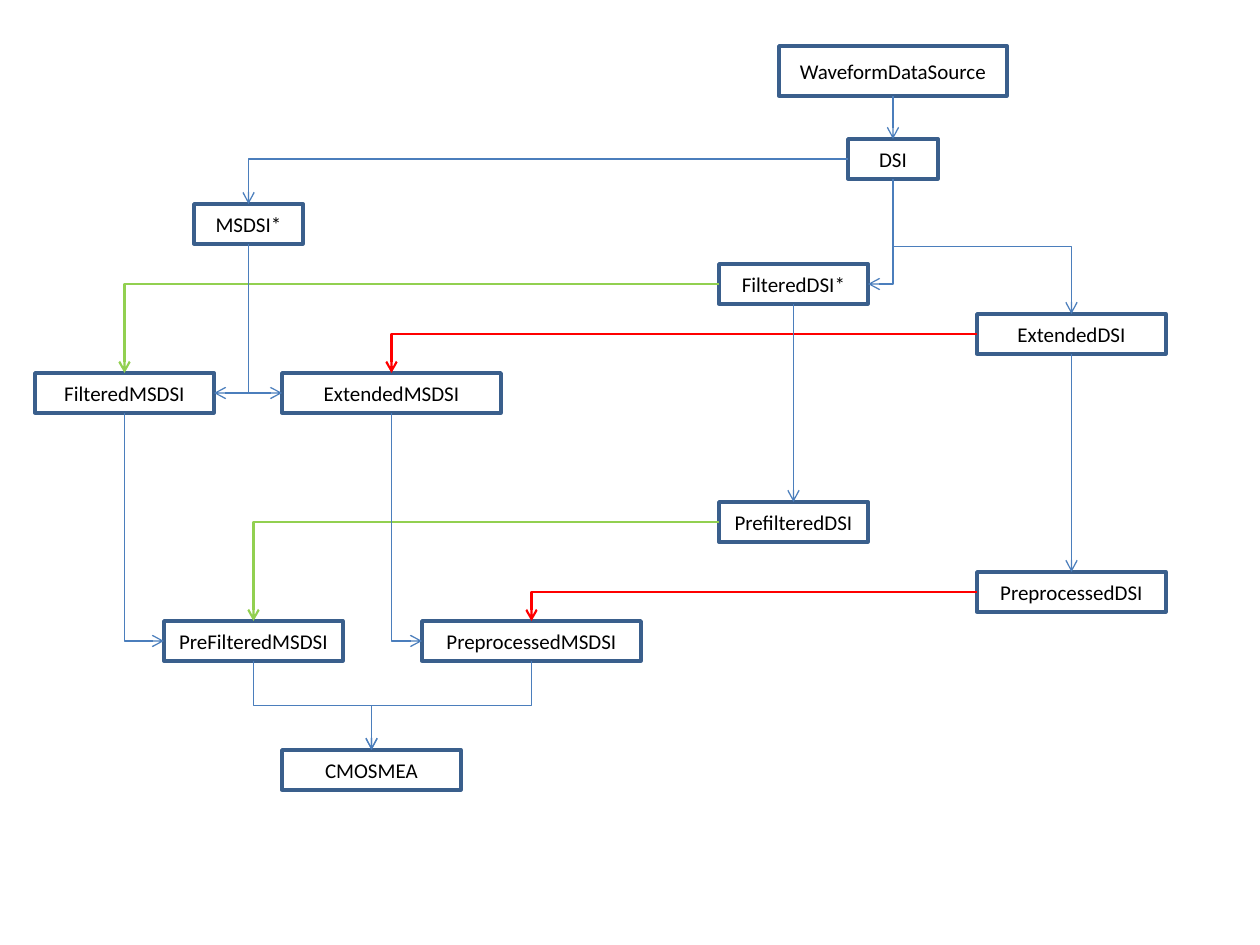
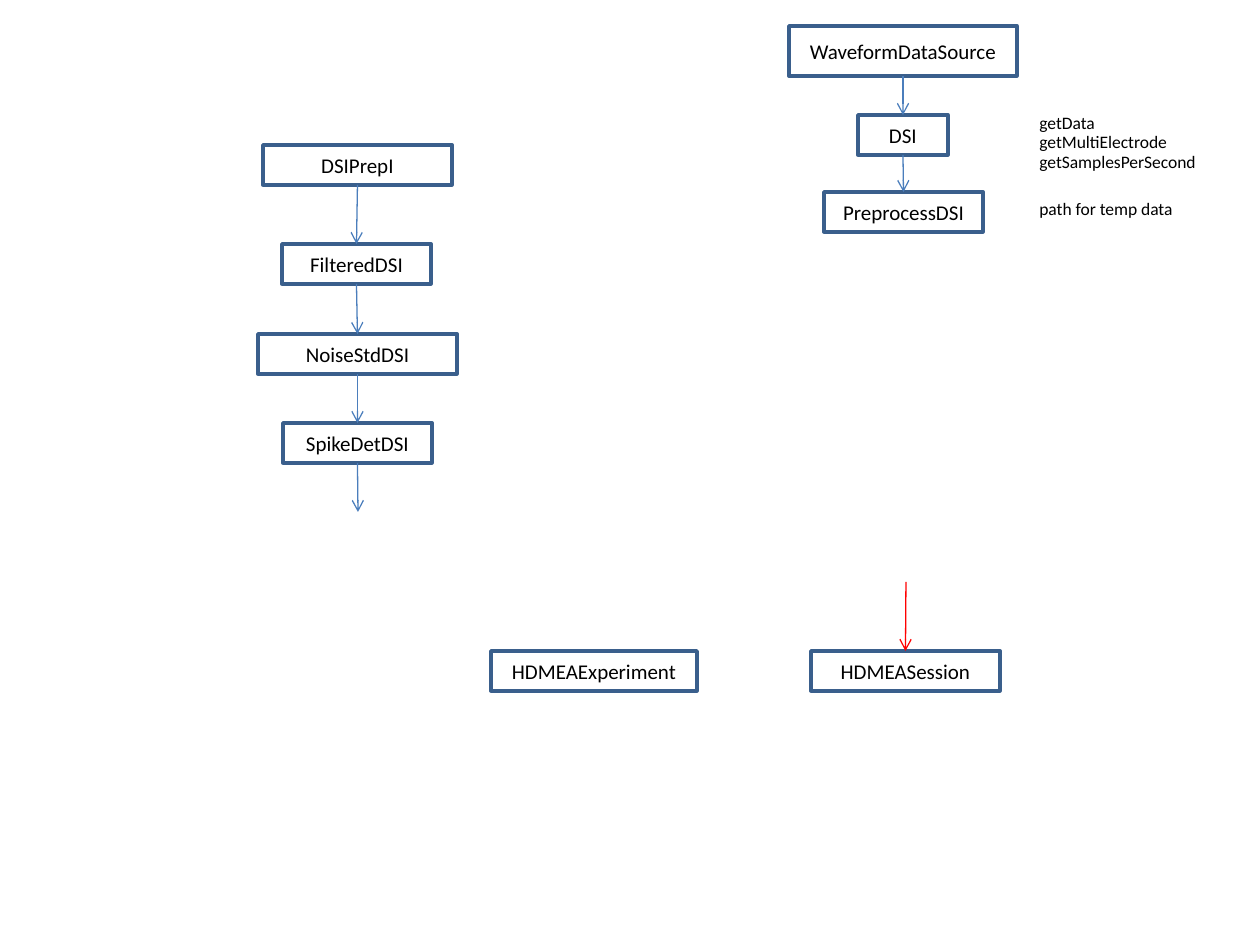
from lxml.etree import SubElement
from pptx import Presentation
from pptx.dml.color import RGBColor
from pptx.enum.shapes import MSO_CONNECTOR, MSO_SHAPE
from pptx.enum.text import MSO_ANCHOR, MSO_AUTO_SIZE, PP_ALIGN
from pptx.oxml.ns import qn
from pptx.util import Emu, Pt

PIXELS_PER_INCH = 126
BOX_HEIGHT = 40
FONT = "Calibri"
COLORS = {
    "outline": "3A5F8C",
    "inherit": "4B7EBC",
    "filter": "92D050",
    "extend": "FF0000",
    "text": "000000",
}
TOP, LEFT, BOTTOM, RIGHT = range(4)  # connection sites of a rectangle

# name: left, top, width[, height]
CLASS_BOXES = {
    "DSI": (848, 139, 90),
    "MSDSI*": (194, 204, 109),
    "FilteredDSI*": (719, 264, 149),
    "ExtendedDSI": (977, 314, 189),
    "PrefilteredDSI": (719, 502, 149),
    "PreprocessedDSI": (977, 572, 189),
    "FilteredMSDSI": (35, 373, 179),
    "ExtendedMSDSI": (282, 373, 219),
    "PreFilteredMSDSI": (164, 621, 179),
    "PreprocessedMSDSI": (422, 621, 219),
    "CMOSMEA": (282, 750, 179),
    "WaveformDataSource": (779, 46, 228, 50),
}
# start, start site, end, end site, colour, points
CLASS_ELBOWS = [
    ("DSI", LEFT, "MSDSI*", TOP, "inherit", 0.75),
    ("FilteredDSI*", LEFT, "FilteredMSDSI", TOP, "filter", 1.25),
    ("MSDSI*", BOTTOM, "FilteredMSDSI", RIGHT, "inherit", 0.75),
    ("MSDSI*", BOTTOM, "ExtendedMSDSI", LEFT, "inherit", 0.75),
    ("ExtendedDSI", LEFT, "ExtendedMSDSI", TOP, "extend", 1.25),
    ("DSI", BOTTOM, "FilteredDSI*", RIGHT, "inherit", 0.75),
    ("DSI", BOTTOM, "ExtendedDSI", TOP, "inherit", 0.75),
    ("PreprocessedDSI", LEFT, "PreprocessedMSDSI", TOP, "extend", 1.25),
    ("PrefilteredDSI", LEFT, "PreFilteredMSDSI", TOP, "filter", 1.25),
    ("ExtendedMSDSI", BOTTOM, "PreprocessedMSDSI", LEFT, "inherit", 0.75),
    ("FilteredMSDSI", BOTTOM, "PreFilteredMSDSI", LEFT, "inherit", 0.75),
    ("PreFilteredMSDSI", BOTTOM, "CMOSMEA", TOP, "inherit", 0.75),
    ("PreprocessedMSDSI", BOTTOM, "CMOSMEA", TOP, "inherit", 0.75),
]
CLASS_ARROWS = [
    ("FilteredDSI*", "PrefilteredDSI"),
    ("ExtendedDSI", "PreprocessedDSI"),
    ("WaveformDataSource", "DSI"),
]

PIPELINE_BOXES = {
    "DSI": (858, 115, 90),
    "FilteredDSI": (282, 244, 149),
    "NoiseStdDSI": (258, 334, 199),
    "SpikeDetDSI": (283, 423, 149),
    "HDMEAExperiment": (491, 651, 206),
    "WaveformDataSource": (789, 26, 228, 50),
    "PreprocessDSI": (824, 192, 159),
    "HDMEASession": (811, 651, 189),
    "DSIPrepI": (263, 145, 189),
}
PIPELINE_ARROWS = [
    ("NoiseStdDSI", "SpikeDetDSI"),
    ("DSI", "PreprocessDSI"),
    ("FilteredDSI", "NoiseStdDSI"),
    ("WaveformDataSource", "DSI"),
    ("DSIPrepI", "FilteredDSI"),
]
# text: top, width
NOTES = {
    "getData": (106, 82),
    "getMultiElectrode": (125, 155),
    "getSamplesPerSecond": (145, 185),
    "path for temp data": (192, 161),
}


def px(pixels):
    """Turn pixels into EMU."""
    return Emu(round(pixels * 914400 / PIXELS_PER_INCH))


def color(name):
    """Look up a colour of the palette."""
    return RGBColor.from_string(COLORS[name])


def add_text(frame, text, size):
    """Write one run into the first paragraph and return the paragraph."""
    para = frame.paragraphs[0]
    span = para.add_run()
    span.text = text
    span.font.name = FONT
    span.font.size = Pt(size)
    span.font.color.rgb = color("text")
    return para


def add_box(page, text, left, top, width, height=BOX_HEIGHT):
    """Add an outlined class box with a centred name."""
    box = page.shapes.add_shape(
        MSO_SHAPE.RECTANGLE, px(left), px(top), px(width), px(height))
    box.shadow.inherit = False
    box.fill.background()
    box.line.color.rgb = color("outline")
    box.line.width = Pt(2)
    box.text_frame.vertical_anchor = MSO_ANCHOR.MIDDLE
    add_text(box.text_frame, text, 12).alignment = PP_ALIGN.CENTER
    return box


def add_boxes(page, boxes):
    """Add all boxes of a page and return them by name."""
    return {name: add_box(page, name, *place) for name, place in boxes.items()}


def add_note(page, text, left, top, width):
    """Add a small unwrapped label."""
    note = page.shapes.add_textbox(px(left), px(top), px(width), px(34))
    note.text_frame.word_wrap = False
    note.text_frame.auto_size = MSO_AUTO_SIZE.SHAPE_TO_FIT_TEXT
    add_text(note.text_frame, text, 10)


def style_arrow(arrow, color_name, points):
    """Colour a connector, drop its shadow and give it an open head."""
    arrow.line.color.rgb = color(color_name)
    arrow.line.width = Pt(points)
    properties = arrow._element.spPr
    SubElement(properties.find(qn("a:ln")), qn("a:tailEnd"), type="arrow")
    SubElement(properties, qn("a:effectLst"))


def add_arrow(page, start, end, color_name="inherit"):
    """Add a straight arrow; each end is a box or a point in pixels."""
    arrow = page.shapes.add_connector(MSO_CONNECTOR.STRAIGHT, 0, 0, 0, 0)
    if isinstance(start, tuple):
        arrow.begin_x, arrow.begin_y = map(px, start)
    else:
        arrow.begin_connect(start, BOTTOM)
    if isinstance(end, tuple):
        arrow.end_x, arrow.end_y = map(px, end)
    else:
        arrow.end_connect(end, TOP)
    style_arrow(arrow, color_name, 0.75)


def add_elbow(page, start, start_site, end, end_site, color_name, points):
    """Add a bent arrow that leaves the start site at a right angle."""
    arrow = page.shapes.add_connector(MSO_CONNECTOR.ELBOW, 0, 0, 0, 0)
    arrow.begin_connect(start, start_site)
    arrow.end_connect(end, end_site)
    properties = arrow._element.spPr
    if (start_site, end_site) != (BOTTOM, TOP):
        properties.find(qn("a:prstGeom")).set("prst", "bentConnector2")
    frame = properties.find(qn("a:xfrm"))
    goes_right = arrow.end_x > arrow.begin_x
    for name in ("flipH", "flipV"):
        frame.attrib.pop(name, None)
    if start_site == LEFT:
        turn, flip = 180, "flipV"
    else:
        # A path that starts downwards is a sideways one, turned about its centre.
        turn, flip = (270, "flipH") if goes_right else (90, None)
        width, height = arrow.width, arrow.height
        arrow.left = Emu(arrow.left + (width - height) // 2)
        arrow.top = Emu(arrow.top + (height - width) // 2)
        arrow.width, arrow.height = height, width
    frame.set("rot", str(turn * 60000))
    if flip:
        frame.set(flip, "1")
    style_arrow(arrow, color_name, points)


def build_class_tree(page):
    """Draw the inheritance diagram of the data source classes."""
    boxes = add_boxes(page, CLASS_BOXES)
    for start, start_site, end, end_site, color_name, points in CLASS_ELBOWS:
        add_elbow(page, boxes[start], start_site, boxes[end], end_site,
                  color_name, points)
    for start, end in CLASS_ARROWS:
        add_arrow(page, boxes[start], boxes[end])


def build_pipeline(page):
    """Draw the processing chain, the sessions and the method notes."""
    boxes = add_boxes(page, PIPELINE_BOXES)
    for start, end in PIPELINE_ARROWS:
        add_arrow(page, boxes[start], boxes[end])
    add_arrow(page, boxes["SpikeDetDSI"], (358, 512))
    add_arrow(page, (906, 582), boxes["HDMEASession"], "extend")
    for text, (top, width) in NOTES.items():
        add_note(page, text, 1027, top, width)


def main():
    """Build both pages and save the deck."""
    deck = Presentation()
    deck.slide_width, deck.slide_height = px(1260), px(945)
    for build in (build_class_tree, build_pipeline):
        build(deck.slides.add_slide(deck.slide_layouts[6]))
    deck.save("out.pptx")


main()
